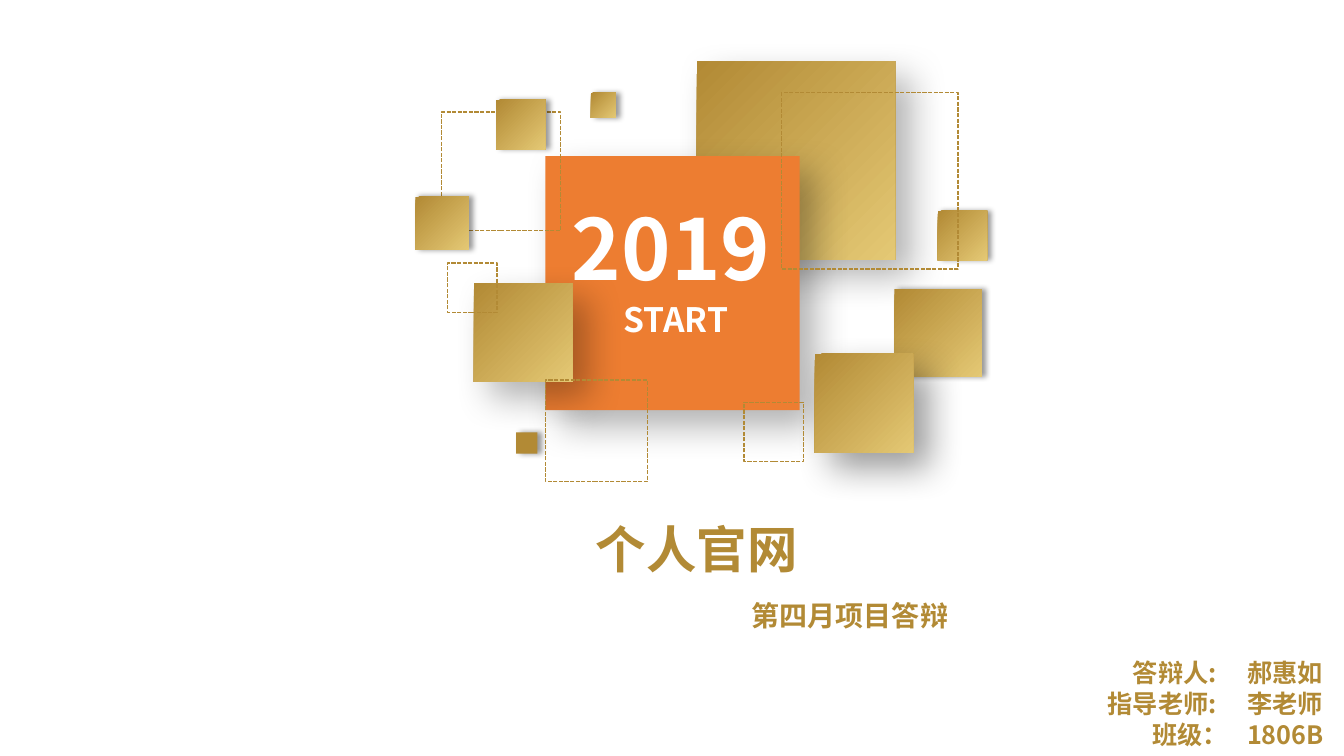
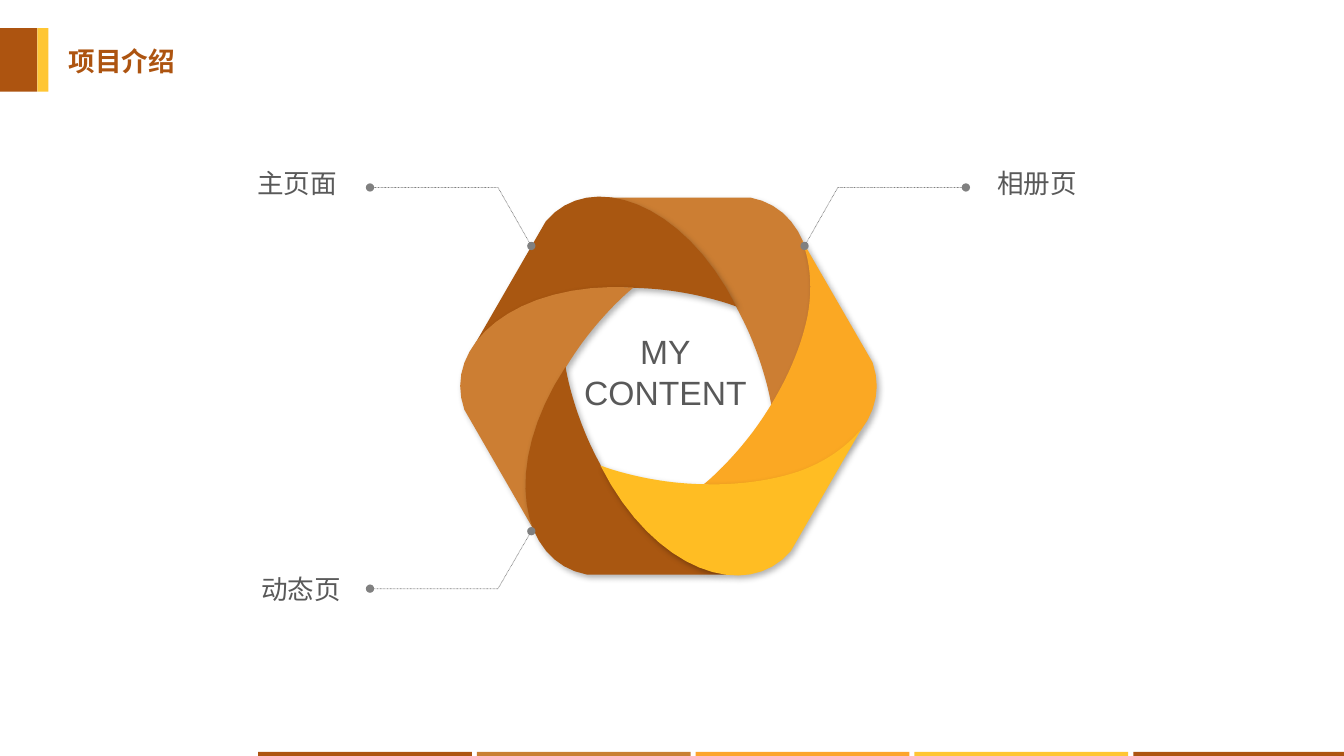
import math

import pptx
import pptx.dml.color
import pptx.enum.dml
import pptx.enum.shapes
import pptx.enum.text
import pptx.oxml.ns
import pptx.util
from lxml import etree

Inches = pptx.util.Inches
Pt = pptx.util.Pt
rgb = pptx.dml.color.RGBColor.from_string
qn = pptx.oxml.ns.qn
Align = pptx.enum.text.PP_ALIGN
Dash = pptx.enum.dml.MSO_LINE
RECTANGLE = pptx.enum.shapes.MSO_SHAPE.RECTANGLE


class Theme:
    # Colours
    gold, pale_gold, orange = rgb("B28A35"), rgb("E4C874"), rgb("ED7D31")
    white, text, leader = rgb("FFFFFF"), rgb("595959"), rgb("808080")
    brown, copper, amber, yellow = (
        rgb("AD5410"), rgb("C98033"), rgb("FCA52C"), rgb("FFC633"))
    blade_brown, blade_copper, blade_amber, blade_yellow = (
        rgb("A95711"), rgb("CC7E33"), rgb("FBA823"), rgb("FFBD23"))
    # Fonts and sizes
    cjk, latin = "Noto Sans CJK SC", "Arial"
    year, cover_title, heading, subtitle, label, info = 60, 36, 24, 20, 19, 18
    line_spacing = 1.22
    # Shadows: opacity in percent, blur and distance in points, angle in degrees
    deep, deeper, small, blade = (
        (30, 26, 16, 45), (40, 26, 16, 45), (40, 4, 3, 0), (30, 4.5, 2.6, 53))


def write_text(shape, text, size, colour, font, bold=False, align=Align.LEFT):
    """Fill a text box or title with evenly styled paragraphs."""
    frame = shape.text_frame
    frame.text = text
    frame.word_wrap = True
    frame.auto_size = pptx.enum.text.MSO_AUTO_SIZE.NONE
    frame.vertical_anchor = pptx.enum.text.MSO_ANCHOR.TOP
    for para in frame.paragraphs:
        para.alignment = align
        para.line_spacing = Pt(size * Theme.line_spacing)
        for span in para.runs:
            span.font.size = Pt(size)
            span.font.bold = bold
            span.font.color.rgb = colour
            span.font.name = font
            etree.SubElement(span.font._element, qn("a:ea"), typeface=Theme.cjk)
    return frame


def paint(shape, colour, shadow=None):
    """Give a shape a plain fill, no outline and an optional outer shadow."""
    shape.fill.solid()
    shape.fill.fore_color.rgb = colour
    shape.line.fill.background()
    shape.shadow.inherit = False
    if shadow:
        opacity, blur, distance, angle = shadow
        effects = shape._element.spPr.find(qn("a:effectLst"))
        outer = etree.SubElement(
            effects, qn("a:outerShdw"), blurRad=str(Pt(blur)), dist=str(Pt(distance)),
            dir=str(angle * 60000), algn="ctr", rotWithShape="0")
        black = etree.SubElement(outer, qn("a:srgbClr"), val="000000")
        etree.SubElement(black, qn("a:alpha"), val=str(opacity * 1000))


deck = pptx.Presentation()
deck.slide_width, deck.slide_height = Inches(13.33), Inches(7.5)
title_only = deck.slide_layouts[5]

# Cover: squares from back to front as left, top, side, style, shadow
cover = deck.slides.add_slide(title_only)
squares = [
    (6.91, 0.61, 1.97, "gradient", Theme.deep),
    (5.41, 1.55, 2.52, "orange", Theme.deep),
    (4.7, 2.81, 0.98, "gradient", Theme.deep),
    (8.87, 2.87, 0.87, "gradient", Theme.small),
    (8.08, 3.51, 0.98, "gradient", Theme.deeper),
    (9.3, 2.09, 0.49, "gradient", Theme.small),
    (7.75, 0.92, 1.75, "dashed", None),
    (5.41, 3.77, 1.01, "dashed", None),
    (7.38, 3.99, 0.59, "dashed", None),
    (5.86, 0.92, 0.25, "gradient", Theme.small),
    (5.12, 4.29, 0.21, "gold", Theme.small),
    (4.44, 2.61, 0.49, "dashed", None),
    (4.38, 1.11, 1.18, "dashed", None),
    (4.12, 1.95, 0.53, "gradient", Theme.small),
    (4.92, 0.99, 0.49, "gradient", Theme.small),
]
for left, top, side, style, shadow in squares:
    square = cover.shapes.add_shape(
        RECTANGLE, Inches(left), Inches(top), Inches(side), Inches(side))
    paint(square, Theme.orange if style == "orange" else Theme.gold, shadow)
    if style == "gradient":
        square.fill.gradient()
        square.fill.gradient_angle = 315
        for stop, colour in zip(square.fill.gradient_stops, (Theme.gold, Theme.pale_gold)):
            stop.color.rgb = colour
    elif style == "dashed":
        square.fill.background()
        square.line.color.rgb = Theme.gold
        square.line.width = Pt(1)
        square.line.dash_style = Dash.SQUARE_DOT

# Cover: title and centred texts
title = cover.shapes.title
title.left, title.top, title.width, title.height = (
    Inches(2.54), Inches(5.08), Inches(8.74), Inches(0.75))
write_text(title, "个人官网", Theme.cover_title, Theme.gold, Theme.cjk, True, Align.CENTER)

for text, left, top, width, height, size, colour in [
    ("2019", 5.24, 1.88, 2.83, 1.11, Theme.year, Theme.white),
    ("START", 5.01, 2.91, 3.39, 0.5, Theme.heading, Theme.white),
    ("第四月项目答辩", 7.23, 5.88, 2.4, 0.48, Theme.subtitle, Theme.gold),
]:
    box = cover.shapes.add_textbox(Inches(left), Inches(top), Inches(width), Inches(height))
    write_text(box, text, size, colour, Theme.cjk, True, Align.CENTER)

# Cover: labels end at one tab stop, names start at the next
info = cover.shapes.add_textbox(Inches(10.84), Inches(6.47), Inches(2.44), Inches(1.01))
info_lines = "\t答辩人:\t郝惠如\n\t指导老师:\t李老师\n\t班级：\t1806B"
frame = write_text(info, info_lines, Theme.info, Theme.gold, Theme.cjk, True)
for para, label_end in zip(frame.paragraphs, (1.13, 1.13, 1.24)):
    tabs = etree.SubElement(para._p.get_or_add_pPr(), qn("a:tabLst"))
    for position, side in ((label_end, "r"), (1.43, "l")):
        etree.SubElement(tabs, qn("a:tab"), pos=str(Inches(position)), algn=side)

# Content: header band and title
content = deck.slides.add_slide(title_only)
title = content.shapes.title
title.left, title.top, title.width, title.height = (
    Inches(0.58), Inches(0.39), Inches(1.97), Inches(0.42))
write_text(title, "项目介绍", Theme.label, Theme.brown, Theme.latin, True)

bands = [(0.37, 0.28, 0.11, 0.63, Theme.yellow), (0, 0.28, 0.37, 0.63, Theme.brown)]
# Footer strip in five equal parts
footer_colours = (Theme.brown, Theme.copper, Theme.amber, Theme.yellow, Theme.brown)
bands += [(2.56 + 2.17 * i, 7.46, 2.12, 0.04, colour)
          for i, colour in enumerate(footer_colours)]
for left, top, width, height, colour in bands:
    band = content.shapes.add_shape(
        RECTANGLE, Inches(left), Inches(top), Inches(width), Inches(height))
    paint(band, colour)

# Content: outline of one blade, with its curves sampled
blade_curves = [
    ((7.44, 1.96), (8.1, 2.08), (8.3, 3.03), (7.65, 4.02)),
    ((7.65, 4.02), (7.63, 3.89), (7.56, 3.59), (7.41, 3.26)),
    ((7.41, 3.26), (7.23, 2.87), (6.99, 2.53), (6.72, 2.29)),
    ((6.72, 2.29), (6.51, 2.11), (6.28, 2), (6.04, 1.96)),
]
curve_steps = 16
outline = [(6.04, 1.96), (7.44, 1.96)]
for curve in blade_curves:
    for step in range(1, curve_steps + 1):
        t = step / curve_steps
        weights = ((1 - t) ** 3, 3 * t * (1 - t) ** 2, 3 * t * t * (1 - t), t ** 3)
        outline.append(tuple(
            sum(weight * point[axis] for weight, point in zip(weights, curve))
            for axis in (0, 1)))

# Content: six blades turned about the centre of the ring
center_x, center_y = 6.63, 3.83
for degrees, colour in [
    (0, Theme.blade_copper), (300, Theme.blade_brown), (240, Theme.blade_copper),
    (180, Theme.blade_brown), (60, Theme.blade_amber), (120, Theme.blade_yellow),
]:
    cosine, sine = math.cos(math.radians(degrees)), math.sin(math.radians(degrees))
    points = [
        (Inches(center_x + (x - center_x) * cosine - (y - center_y) * sine),
         Inches(center_y + (x - center_x) * sine + (y - center_y) * cosine))
        for x, y in outline]
    builder = content.shapes.build_freeform(*points[0])
    builder.add_line_segments(points[1:], close=True)
    paint(builder.convert_to_shape(), colour, Theme.blade)

# Content: leader lines with a dot at each end
for leader_points in [
    [(5.27, 2.44), (4.94, 1.86), (3.67, 1.86)],
    [(7.98, 2.44), (8.31, 1.86), (9.58, 1.86)],
    [(5.27, 5.27), (4.94, 5.84), (3.67, 5.84)],
]:
    points = [(Inches(x), Inches(y)) for x, y in leader_points]
    builder = content.shapes.build_freeform(*points[0])
    builder.add_line_segments(points[1:], close=False)
    leader = builder.convert_to_shape()
    leader.shadow.inherit = False
    leader.fill.background()
    leader.line.color.rgb = Theme.leader
    leader.line.width = Pt(0.5)
    leader.line.dash_style = Dash.ROUND_DOT
    for end in ("a:headEnd", "a:tailEnd"):
        etree.SubElement(leader._element.spPr.find(qn("a:ln")), qn(end), type="oval")

# Content: centre text and labels
box = content.shapes.add_textbox(Inches(5.6), Inches(3.23), Inches(2), Inches(0.91))
write_text(box, "MY\nCONTENT", Theme.heading, Theme.text, Theme.latin, align=Align.CENTER)

for text, left, top, width, align in [
    ("主页面", 1.18, 1.58, 2.3, Align.RIGHT),
    ("动态页", 1.22, 5.61, 2.3, Align.RIGHT),
    ("相册页", 9.75, 1.58, 2.54, Align.LEFT),
]:
    box = content.shapes.add_textbox(Inches(left), Inches(top), Inches(width), Inches(0.45))
    frame = write_text(box, text, Theme.label, Theme.text, Theme.latin, align=align)
    frame.margin_left = frame.margin_right = Inches(0.14)
    frame.margin_top = frame.margin_bottom = Inches(0.07)

deck.save("out.pptx")
